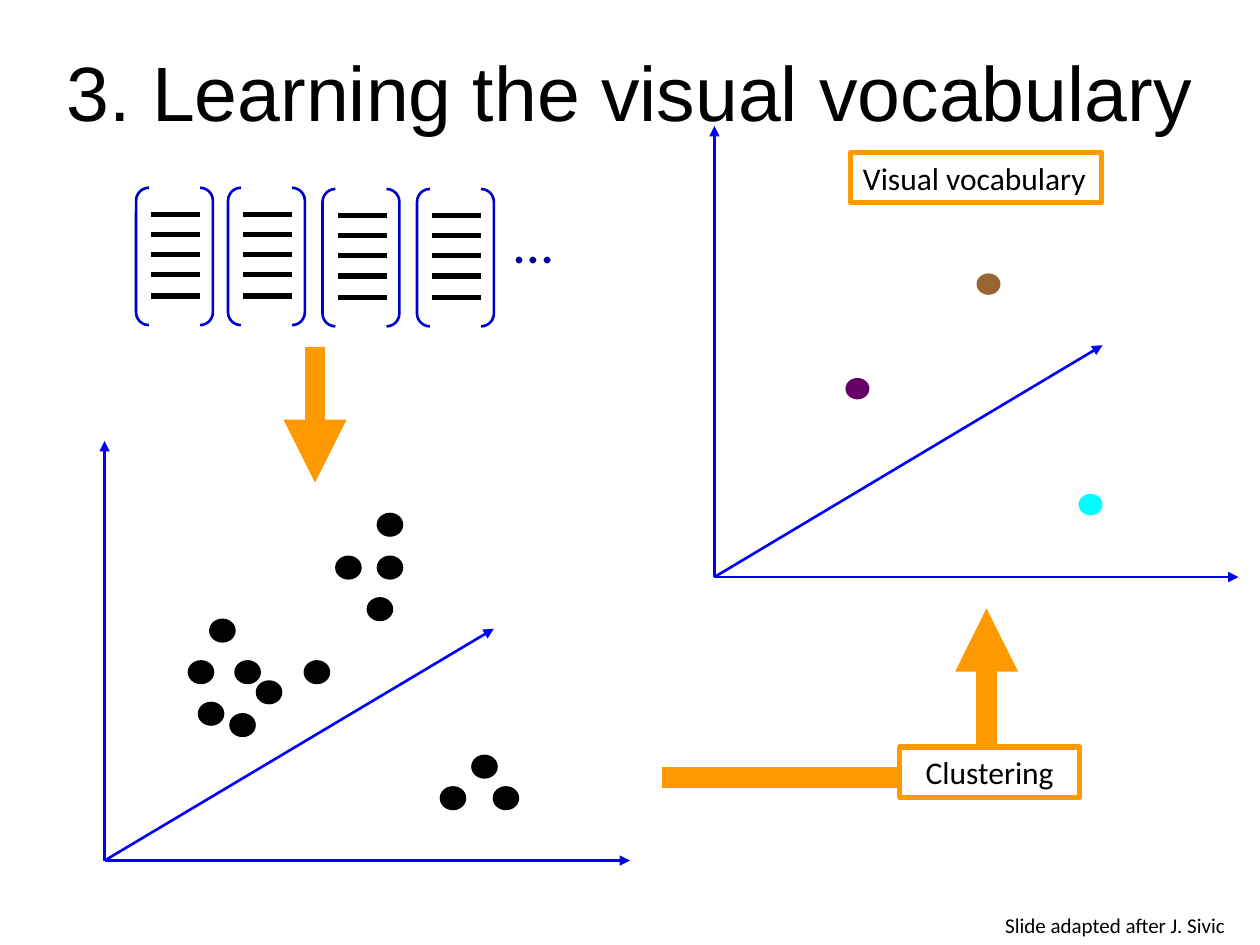
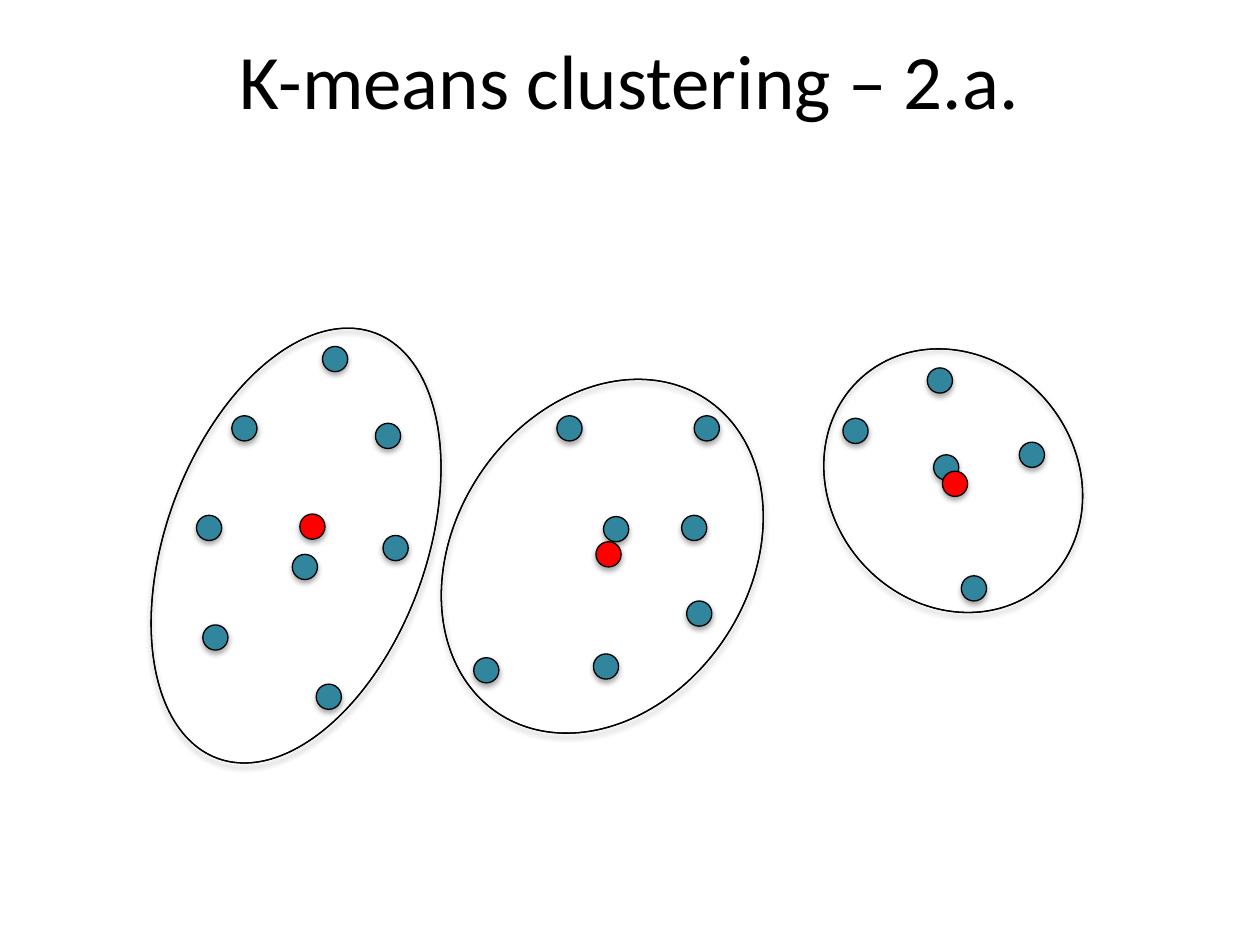
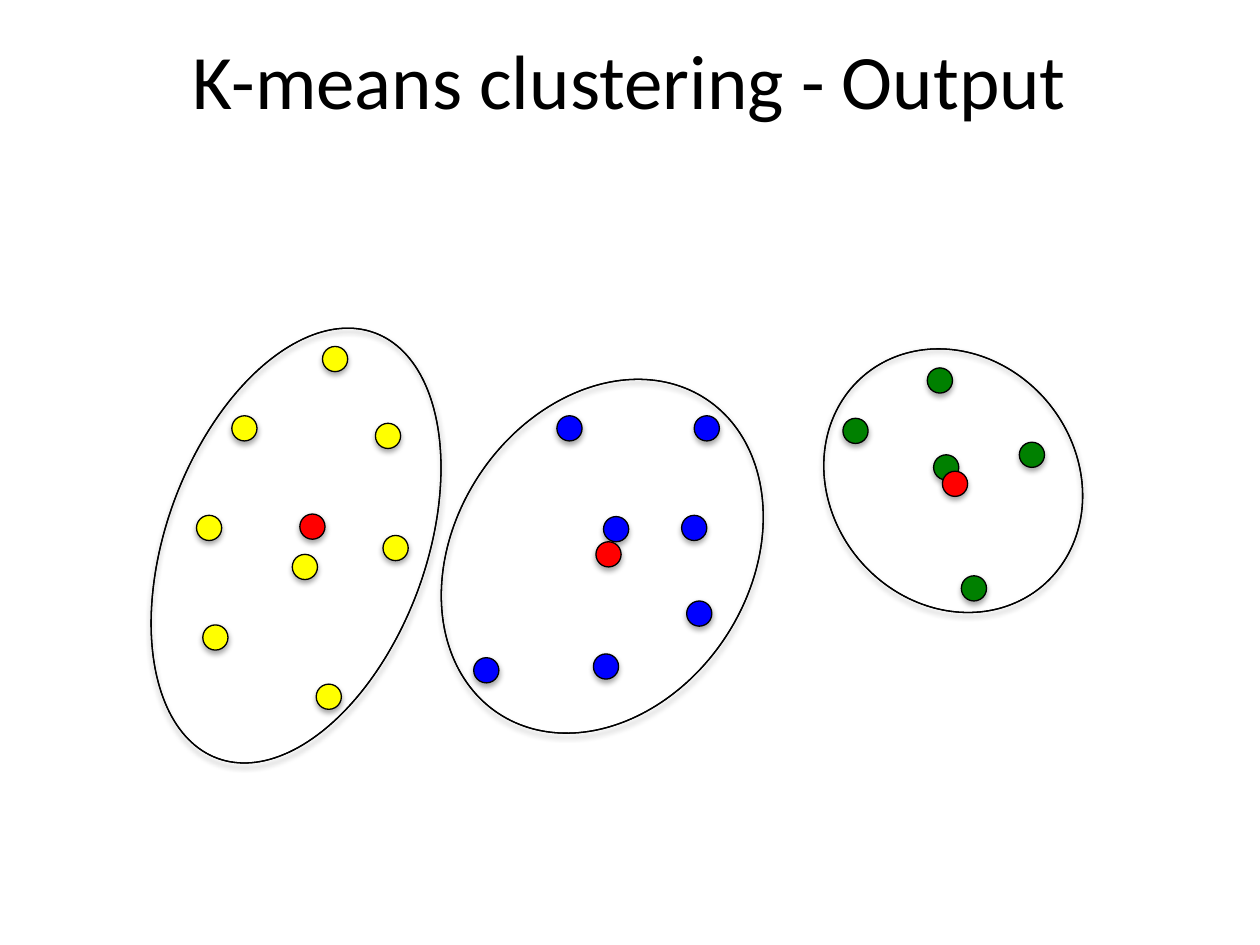
from lxml.etree import SubElement
from pptx import Presentation
from pptx.dml.color import RGBColor
from pptx.enum.shapes import MSO_CONNECTOR as Connector, MSO_SHAPE as Preset
from pptx.enum.text import MSO_ANCHOR as Anchor, MSO_AUTO_SIZE as AutoSize, PP_ALIGN as Align
from pptx.oxml.ns import qn
from pptx.util import Pt

PX = 9144  # 100 px to the inch

COLORS = {
    "black": "000000", "white": "FFFFFF", "blue": "0000FF", "bracket": "0000CC",
    "ellipsis": "000099", "orange": "FF9900", "purple": "660066", "brown": "996633",
    "cyan": "00FFFF", "teal": "31859C", "red": "FF0000", "yellow": "FFFF00",
    "green": "008000",
}
RGB = {name: RGBColor.from_string(value) for name, value in COLORS.items()}


def write(shape, text, size=18, font="Calibri", color="black", align=Align.LEFT,
          anchor=Anchor.TOP, wrap=True):
    frame = shape.text_frame
    frame.auto_size = AutoSize.NONE
    frame.word_wrap = wrap
    frame.vertical_anchor = anchor
    paragraph = frame.paragraphs[0]
    paragraph.text = text
    paragraph.alignment = align
    paragraph.font.size = Pt(size)
    paragraph.font.name = font
    paragraph.font.color.rgb = RGB[color]


def draw(slide, preset, box, fill=None, line=None, width=1.5, shadow=False):
    shape = slide.shapes.add_shape(preset, *(value * PX for value in box))
    shape.shadow.inherit = False
    if fill:
        shape.fill.solid()
        shape.fill.fore_color.rgb = RGB[fill]
    else:
        shape.fill.background()
    if line:
        shape.line.color.rgb = RGB[line]
        shape.line.width = Pt(width)
    else:
        shape.line.fill.background()
    if shadow:
        effects = shape._element.spPr.find(qn("a:effectLst"))
        outer = SubElement(effects, qn("a:outerShdw"), blurRad="40000", dist="23000",
                           dir="5400000", rotWithShape="0")
        tint = SubElement(outer, qn("a:srgbClr"), val=COLORS["black"])
        SubElement(tint, qn("a:alpha"), val="35000")
    return shape


presentation = Presentation()
presentation.slide_width = 1000 * PX
presentation.slide_height = 750 * PX

# Slides and titles
slides = []
for text, font, box in [
    ("3. Learning the visual vocabulary", "Arial", (0, 26, 1000, 92)),
    ("K-means clustering – 2.a.", "Calibri", (50, 0, 900, 125)),
    ("K-means clustering - Output", "Calibri", (50, 0, 900, 125)),
]:
    slide = presentation.slides.add_slide(presentation.slide_layouts[5])
    title = slide.shapes.title
    title.left, title.top, title.width, title.height = (value * PX for value in box)
    write(title, text, size=44, font=font, align=Align.CENTER, anchor=Anchor.MIDDLE)
    slides.append(slide)
vocabulary_slide, *cluster_slides = slides

# Lines of the vocabulary slide: start, end, colour, width, arrowhead
lines = []
for origin_x, origin_y, top, right, diagonal in [
    (83, 683, 350, 500, (392, 499)),
    (567, 458, 100, 983, (875, 274)),
]:
    for end in [(origin_x, top), (right, origin_y), diagonal]:
        lines.append(((origin_x, origin_y), end, "blue", 1.5, True))
lines += [
    ((525, 617), (750, 617), "orange", 12, False),
    ((783, 617), (783, 483), "orange", 12, True),
    ((250, 275), (250, 383), "orange", 12, True),
]

# Descriptor vectors: brackets around five bars
for left, top in [(108, 149), (181, 149), (256, 150), (331, 150)]:
    bracket = draw(vocabulary_slide, Preset.DOUBLE_BRACKET, (left, top, 61, 109),
                   line="bracket")
    bracket.adjustments[0] = 0.167
    for offset in (21, 37, 53, 69, 86):
        y = top + offset
        lines.append(((left + 12, y), (left + 51, y), "black", 3, False))

for start, end, color, width, arrow in lines:
    connector = vocabulary_slide.shapes.add_connector(
        Connector.STRAIGHT, *(value * PX for value in start + end))
    connector.line.color.rgb = RGB[color]
    connector.line.width = Pt(width)
    if arrow:
        SubElement(connector.line._get_or_add_ln(), qn("a:tailEnd"), type="triangle")
    SubElement(connector._element.spPr, qn("a:effectLst"))

# Feature points and the visual words found among them
features = [
    (187, 525), (204, 541), (150, 525), (183, 567), (158, 558), (300, 408), (292, 475),
    (267, 442), (300, 442), (242, 525), (167, 492), (392, 625), (375, 600), (350, 625),
]
for left, top in features:
    draw(vocabulary_slide, Preset.OVAL, (left, top, 19, 17), fill="black", line="black")
for left, top, color in [(671, 300, "purple"), (775, 217, "brown"), (856, 392, "cyan")]:
    draw(vocabulary_slide, Preset.OVAL, (left, top, 19, 17), fill=color)

# Labels
for text, box, align, wrap in [
    ("Visual vocabulary", (675, 121, 199, 40), Align.LEFT, False),
    ("Clustering", (714, 593, 143, 40), Align.CENTER, True),
]:
    label = draw(vocabulary_slide, Preset.RECTANGLE, box, fill="white", line="orange", width=3)
    write(label, text, align=align, wrap=wrap)
for text, box, size, color, wrap in [
    ("…", (398, 160, 65, 63), 32, "ellipsis", False),
    ("Slide adapted after J. Sivic", (788, 719, 234, 30), 12, "black", True),
]:
    textbox = vocabulary_slide.shapes.add_textbox(*(value * PX for value in box))
    write(textbox, text, size=size, color=color, wrap=wrap)

# Clusters: outline, rotation, centroid, points
clusters = [
    ((132, 253, 206, 360), 20.3, (238, 408),
     [(184, 330), (156, 409), (298, 336), (161, 496), (304, 425), (256, 275),
      (251, 543), (232, 440)]),
    ((361, 292, 234, 299), 33.5, (473, 430),
     [(442, 330), (551, 330), (479, 410), (376, 522), (541, 409), (471, 519), (545, 477)]),
    ((659, 272, 195, 219), 319.5, (748, 374),
     [(736, 292), (809, 351), (741, 361), (669, 332), (763, 457)]),
]
point_colors = [("teal", "teal", "teal"), ("yellow", "blue", "green")]

for slide, colors in zip(cluster_slides, point_colors):
    for (outline, rotation, centroid, points), color in zip(clusters, colors):
        ring = draw(slide, Preset.DONUT, outline, fill="black", line="black", width=0.75,
                    shadow=True)
        ring.adjustments[0] = 0
        ring.rotation = rotation
        dots = [(point, color) for point in points] + [(centroid, "red")]
        for (left, top), fill in dots:
            draw(slide, Preset.OVAL, (left, top, 20, 20), fill=fill, line="black",
                 width=0.75, shadow=True)

presentation.save("out.pptx")
